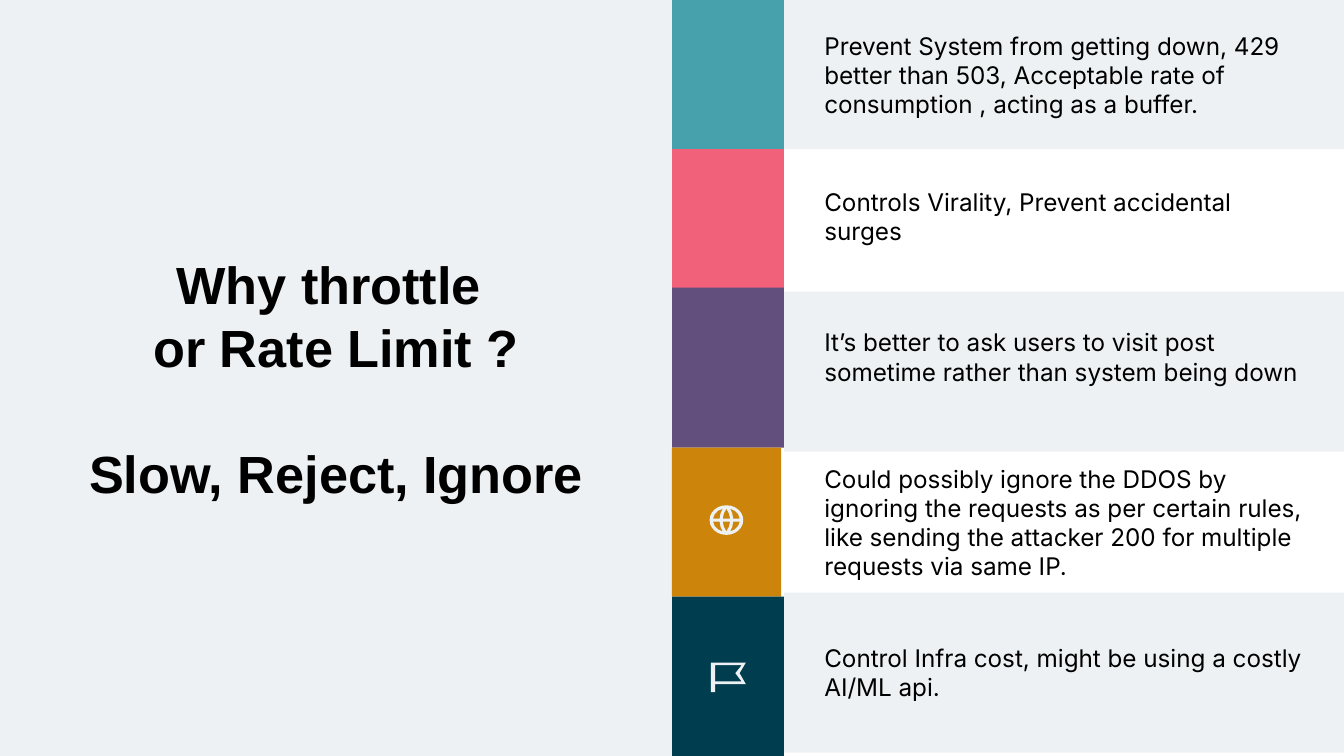
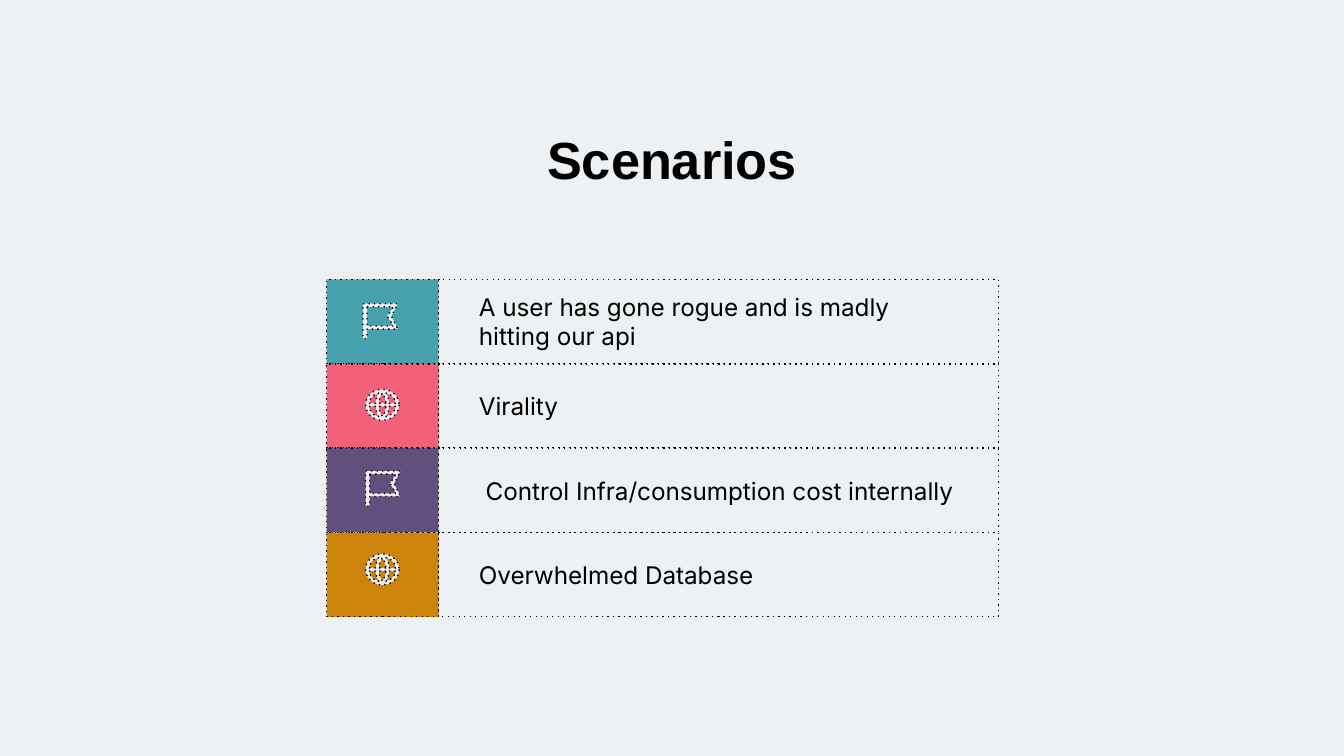
from pptx import Presentation
from pptx.dml.color import RGBColor
from pptx.enum import dml, shapes, text
from pptx.util import Inches, Pt

PALE, BLACK = "EDF1F3", "000000"
TEAL, PINK, PURPLE, OCHRE, NAVY = "47A1AD", "F2617A", "634F7D", "CC850A", "003D4F"
PAGE_WIDTH = 10
PAGE_HEIGHT = PAGE_WIDTH * 9 / 16
SWATCH_WIDTH = PAGE_WIDTH / 12
ROW_TEXT_WIDTH = 5 * SWATCH_WIDTH
LINE_GAP = 0.22

# Icon outlines on a unit square; the contours after the first are cut out.
FLAG = [
    [(0, 0), (1, 0), (0.82, 0.36), (1, 0.73), (0.12, 0.73), (0.12, 1), (0, 1)],
    [(0.12, 0.09), (0.88, 0.09), (0.7, 0.36), (0.88, 0.64), (0.12, 0.64)],
]


def globe_contours():
    """Round outline with one middle and two side windows in each half."""
    rim = [(1, 0), (0.97, 0.26), (0.87, 0.5), (0.71, 0.71), (0.5, 0.87), (0.26, 0.97)]
    quarter_turns = [rim]
    for _ in range(3):
        quarter_turns.append([(-y, x) for x, y in quarter_turns[-1]])
    side = [(0.8, 0.1), (0.4, 0.1), (0.35, 0.45), (0.22, 0.77), (0.5, 0.63), (0.7, 0.4)]
    middle = [(0.22, 0.1), (-0.22, 0.1), (-0.15, 0.45), (0, 0.77), (0.15, 0.45)]
    contours = [sum(quarter_turns, [])]
    for down in (-1, 1):
        contours.append([(x, y * down) for x, y in middle])
        for across in (-1, 1):
            contours.append([(x * across, y * down) for x, y in side])
    return [[((x + 1) / 2, (y + 1) / 2) for x, y in points] for points in contours]


GLOBE = globe_contours()


def color(value):
    return RGBColor.from_string(value)


def style_shape(shape, fill, dotted):
    shape.shadow.inherit = False
    if fill:
        shape.fill.solid()
        shape.fill.fore_color.rgb = color(fill)
    else:
        shape.fill.background()
    if dotted:
        shape.line.color.rgb = color(BLACK)
        shape.line.width = Pt(0.75)
        shape.line.dash_style = dml.MSO_LINE.ROUND_DOT
        shape.element.xpath(".//a:prstDash")[0].set("val", "dot")
    else:
        shape.line.fill.background()


def add_rect(canvas, box, fill, dotted=False):
    rect = canvas.add_shape(shapes.MSO_SHAPE.RECTANGLE, *map(Inches, box))
    style_shape(rect, fill, dotted)
    return rect


def add_icon(canvas, contours, box, dotted=False):
    left, top, width, height = box
    builder = None
    for contour in contours:
        points = [(Inches(left + x * width), Inches(top + y * height)) for x, y in contour]
        if builder is None:
            builder = canvas.build_freeform(*points[0], scale=1.0)
        else:
            builder.move_to(*points[0])
        builder.add_line_segments(points[1:], close=True)
    style_shape(builder.convert_to_shape(), PALE, dotted)


def set_frame(frame, margins):
    frame.word_wrap = True
    frame.auto_size = text.MSO_AUTO_SIZE.NONE
    frame.vertical_anchor = text.MSO_ANCHOR.MIDDLE
    (frame.margin_left, frame.margin_top,
     frame.margin_right, frame.margin_bottom) = map(Inches, margins)


def add_span(para, words, font, size, bold=False):
    span = para.add_run()
    span.text = words
    span.font.name = font
    span.font.size = Pt(size)
    span.font.bold = bold
    span.font.color.rgb = color(BLACK)


def add_row_text(canvas, box, words, fill, dotted=False, lift=0):
    """Text panel of a row; lift is extra room kept below the text."""
    if fill or dotted:
        panel = add_rect(canvas, box, fill, dotted)
    else:
        panel = canvas.add_textbox(*map(Inches, box))
    set_frame(panel.text_frame, (0.3, 0.1, 0.3, 0.1 + lift))
    para = panel.text_frame.paragraphs[0]
    para.alignment = text.PP_ALIGN.LEFT
    add_span(para, words, "Inter", 13)


def add_title_page(deck, width, lines, room_below=0):
    """Page whose title fills a pale panel; lines are (words, space before)."""
    page = deck.slides.add_slide(deck.slide_layouts[5])
    title = page.shapes.title
    title.left, title.top = Inches(0), Inches(0)
    title.width, title.height = Inches(width), Inches(PAGE_HEIGHT)
    title.fill.solid()
    title.fill.fore_color.rgb = color(PALE)
    frame = title.text_frame
    set_frame(frame, (0, 0, 0, room_below))
    for index, (words, space) in enumerate(lines):
        para = frame.add_paragraph() if index else frame.paragraphs[0]
        para.alignment = text.PP_ALIGN.CENTER
        para.line_spacing = 1.0
        para.space_before = Pt(space)
        add_span(para, words, "Arial", 28, bold=True)
    return page


def build_reasons(deck):
    page = add_title_page(deck, PAGE_WIDTH / 2, [
        ("Why throttle ", 0), ("or Rate Limit ?", 0), ("Slow, Reject, Ignore", 33.7)])
    canvas = page.shapes
    left = PAGE_WIDTH / 2
    # swatch colour, swatch top, text top, height, text fill, lift, words
    rows = [
        (TEAL, 0, 0, 1.11, PALE, 0,
         "Prevent System from getting down, 429 better than 503, "
         "Acceptable rate of consumption , acting as a buffer."),
        (PINK, 1.11, 1.08, 1.06, None, 0,
         "Controls Virality, Prevent accidental surges"),
        (PURPLE, 2.14, 2.17, 1.19, PALE, LINE_GAP,
         "It’s better to ask users to visit post sometime rather than system being down"),
        (OCHRE, 3.33, 3.33, 1.11, None, 0,
         "Could possibly ignore the DDOS by ignoring the requests as per certain rules, "
         "like sending the attacker 200 for multiple requests via same IP."),
        (NAVY, 4.44, 4.41, 1.19, PALE, 0,
         "Control Infra cost, might be using a costly AI/ML api."),
    ]
    for swatch, swatch_top, text_top, height, fill, lift, words in rows:
        swatch_width = SWATCH_WIDTH - 0.02 if swatch == OCHRE else SWATCH_WIDTH
        add_rect(canvas, (left, swatch_top, swatch_width, height), swatch)
        add_row_text(canvas, (left + SWATCH_WIDTH, text_top, ROW_TEXT_WIDTH, height),
                     words, fill, lift=lift)
    add_icon(canvas, GLOBE, (left + 0.28, 3.76, 0.25, 0.22))
    add_icon(canvas, FLAG, (left + 0.29, 4.93, 0.26, 0.22))


def build_scenarios(deck):
    page = add_title_page(deck, PAGE_WIDTH, [("Scenarios", 0)], room_below=3.26)
    canvas = page.shapes.add_group_shape().shapes
    left, top, total_height = 2.43, 2.08, 2.51
    # swatch colour, text fill, icon, icon offset and size, words
    rows = [
        (TEAL, PALE, FLAG, (0.27, 0.18, 0.26, 0.26),
         "A user has gone rogue and is madly hitting our api"),
        (PINK, None, GLOBE, (0.29, 0.19, 0.25, 0.23), "Virality"),
        (PURPLE, PALE, FLAG, (0.29, 0.17, 0.26, 0.26),
         " Control Infra/consumption cost internally"),
        (OCHRE, None, GLOBE, (0.29, 0.16, 0.25, 0.23), "Overwhelmed Database"),
    ]
    height = total_height / len(rows)
    for index, (swatch, fill, icon, (dx, dy, *size), words) in enumerate(rows):
        row_top = top + index * height
        add_rect(canvas, (left, row_top, SWATCH_WIDTH, height), swatch, dotted=True)
        add_row_text(canvas, (left + SWATCH_WIDTH, row_top, ROW_TEXT_WIDTH, height),
                     words, fill, dotted=True)
        add_icon(canvas, icon, (left + dx, row_top + dy, *size), dotted=True)


def main():
    deck = Presentation()
    deck.slide_width, deck.slide_height = Inches(PAGE_WIDTH), Inches(PAGE_HEIGHT)
    build_reasons(deck)
    build_scenarios(deck)
    deck.save("out.pptx")


if __name__ == "__main__":
    main()
